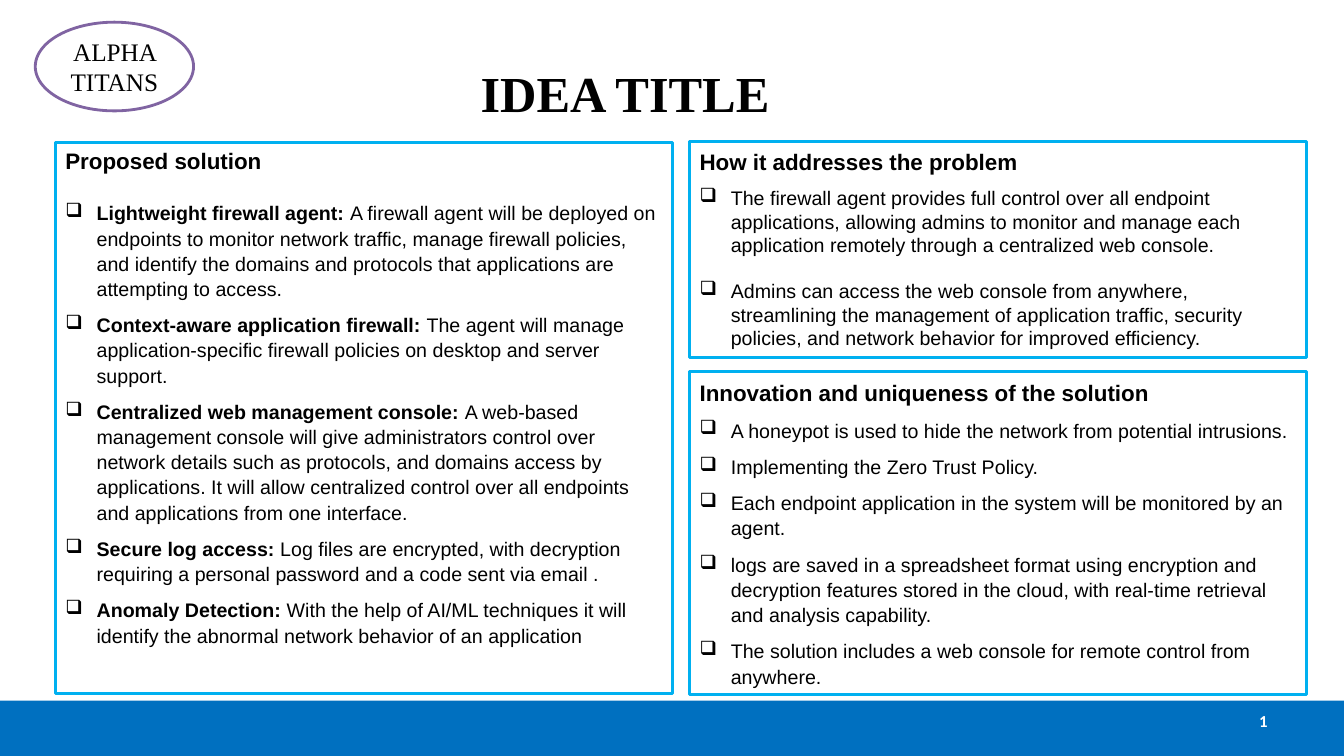
"""Build the idea title slide with its three outlined panels."""
from dataclasses import dataclass

from lxml import etree
from pptx import Presentation
from pptx.dml.color import RGBColor
from pptx.enum.shapes import MSO_SHAPE
from pptx.enum.text import MSO_ANCHOR, PP_ALIGN
from pptx.oxml.ns import qn
from pptx.util import Pt

EMU_PER_PX = 9144
RECTANGLE, OVAL = MSO_SHAPE.RECTANGLE, MSO_SHAPE.OVAL
LEFT, CENTER, RIGHT = PP_ALIGN.LEFT, PP_ALIGN.CENTER, PP_ALIGN.RIGHT
TOP, MIDDLE = MSO_ANCHOR.TOP, MSO_ANCHOR.MIDDLE


@dataclass(frozen=True)
class Theme:
    """Colours, fonts and type sizes of the slide."""
    ink: str = "000000"
    white: str = "FFFFFF"
    footer: str = "0070C0"
    panel: str = "00B0F0"
    badge: str = "8064A2"
    serif: str = "Times New Roman"
    sans: str = "Arial"
    number: str = "Calibri"
    title_size: int = 36
    badge_size: int = 18
    heading_size: int = 16
    body_size: int = 14
    number_size: int = 12


THEME = Theme()
BULLET_INDENT = 31
LOOSE = 1.07
PANELS = [
    {
        "box": (55, 141, 612, 547), "heading": "Proposed solution",
        "heading_spacing": 1.0, "heading_after": 18.4,
        "bullet_spacing": LOOSE, "bullet_after": 8,
        "bullets": [
            ("Lightweight firewall agent: ",
             "A firewall agent will be deployed on endpoints to monitor network traffic, "
             "manage firewall policies, and identify the domains and protocols that "
             "applications are attempting to access."),
            ("Context-aware application firewall: ",
             "The agent will manage application-specific firewall policies on "
             "desktop and server support."),
            ("Centralized web management console: ",
             "A web-based management console will give administrators control over network "
             "details such as protocols, and domains access by applications. It will allow "
             "centralized control over all endpoints and applications from one interface."),
            ("Secure log access: ",
             "Log files are encrypted, with decryption requiring a personal password "
             "and a code sent via email ."),
            ("Anomaly Detection: ",
             "With the help of AI/ML techniques it will identify the abnormal network "
             "behavior of an application"),
        ],
    },
    {
        "box": (684, 140, 612, 215), "heading": "How it addresses the problem",
        "heading_spacing": LOOSE, "heading_after": 8,
        "bullet_spacing": 1.0, "bullet_after": 16.1,
        "bullets": [
            ("", "The firewall agent provides full control over all endpoint applications, "
             "allowing admins to monitor and manage each application remotely through a "
             "centralized web console."),
            ("", "Admins can access the web console from anywhere, streamlining the "
             "management of application traffic, security policies, and network behavior "
             "for improved efficiency."),
        ],
    },
    {
        "box": (684, 369, 612, 320), "heading": "Innovation and uniqueness of the solution",
        "heading_spacing": LOOSE, "heading_after": 8,
        "bullet_spacing": LOOSE, "bullet_after": 8,
        "bullets": [
            ("", "A honeypot is used to hide the network from potential intrusions."),
            ("", "Implementing the Zero Trust Policy."),
            ("", "Each endpoint application in the system will be monitored by an agent."),
            ("", "logs are saved in a spreadsheet format using encryption and decryption "
             "features stored in the cloud, with real-time retrieval and analysis capability."),
            ("", "The solution includes a web console for remote control from anywhere."),
        ],
    },
]


def px(length):
    """Turn a length in px into EMU."""
    return length * EMU_PER_PX


def add_run(paragraph, text, *, size, font=THEME.sans, color=THEME.ink, bold=False):
    """Append formatted text to a paragraph."""
    run = paragraph.add_run()
    run.text = text
    run.font.size = Pt(size)
    run.font.name = font
    run.font.bold = bold
    run.font.color.rgb = RGBColor.from_string(color)


def set_paragraph(paragraph, *, align=LEFT, spacing=1.0, after=0):
    """Set the alignment and spacing of a paragraph."""
    paragraph.alignment = align
    paragraph.line_spacing = spacing
    paragraph.space_after = Pt(after)


def set_bullet(paragraph):
    """Give a paragraph a hanging box bullet."""
    properties = paragraph._p.get_or_add_pPr()
    properties.set("marL", str(px(BULLET_INDENT)))
    properties.set("indent", str(-px(BULLET_INDENT)))
    etree.SubElement(properties, qn("a:buChar")).set("char", "❑")


def add_shape(slide, kind, box, *, fill=None, line=None, width=0, anchor=MIDDLE):
    """Add a flat preset shape with optional fill and outline."""
    shape = slide.shapes.add_shape(kind, *map(px, box))
    shape.shadow.inherit = False
    if fill:
        shape.fill.solid()
        shape.fill.fore_color.rgb = RGBColor.from_string(fill)
    else:
        shape.fill.background()
    if line:
        shape.line.color.rgb = RGBColor.from_string(line)
        shape.line.width = Pt(width)
    else:
        shape.line.fill.background()
    shape.text_frame.word_wrap = True
    shape.text_frame.vertical_anchor = anchor
    return shape


def add_label(slide, box, text, *, align, top_inset=5, **text_format):
    """Add a one-line text box centred vertically below its top inset."""
    frame = slide.shapes.add_textbox(*map(px, box)).text_frame
    frame.word_wrap = True
    frame.vertical_anchor = MIDDLE
    frame.margin_top = px(top_inset)
    set_paragraph(frame.paragraphs[0], align=align)
    add_run(frame.paragraphs[0], text, **text_format)


def add_badge(slide, box, text):
    """Add the oval team badge."""
    badge = add_shape(slide, OVAL, box, fill=THEME.white, line=THEME.badge, width=2)
    paragraph = badge.text_frame.paragraphs[0]
    set_paragraph(paragraph, align=CENTER)
    add_run(paragraph, text, size=THEME.badge_size, font=THEME.serif)


def add_panel(slide, *, box, heading, bullets, heading_spacing, heading_after,
              bullet_spacing, bullet_after):
    """Add an outlined panel with a heading and bulleted points."""
    panel = add_shape(slide, RECTANGLE, box, line=THEME.panel, width=2.25, anchor=TOP)
    frame = panel.text_frame
    title = frame.paragraphs[0]
    set_paragraph(title, spacing=heading_spacing, after=heading_after)
    add_run(title, heading, size=THEME.heading_size, bold=True)
    for lead, body in bullets:
        paragraph = frame.add_paragraph()
        set_paragraph(paragraph, spacing=bullet_spacing, after=bullet_after)
        set_bullet(paragraph)
        if lead:
            add_run(paragraph, lead, size=THEME.body_size, bold=True)
        add_run(paragraph, body, size=THEME.body_size)


def main():
    """Build and save the slide."""
    presentation = Presentation()
    presentation.slide_width, presentation.slide_height = px(1333), px(750)
    slide = presentation.slides.add_slide(presentation.slide_layouts[6])
    add_shape(slide, RECTANGLE, (0, 695, 1333, 55), fill=THEME.footer)
    add_label(slide, (20, 0, 1200, 125), "IDEA TITLE", align=CENTER, top_inset=63,
              size=THEME.title_size, font=THEME.serif, bold=True)
    add_label(slide, (956, 695, 311, 40), "1", align=RIGHT, size=THEME.number_size,
              font=THEME.number, color=THEME.white, bold=True)
    add_badge(slide, (35, 22, 157, 88), "ALPHA TITANS")
    for panel in PANELS:
        add_panel(slide, **panel)
    presentation.save("out.pptx")


if __name__ == "__main__":
    main()
